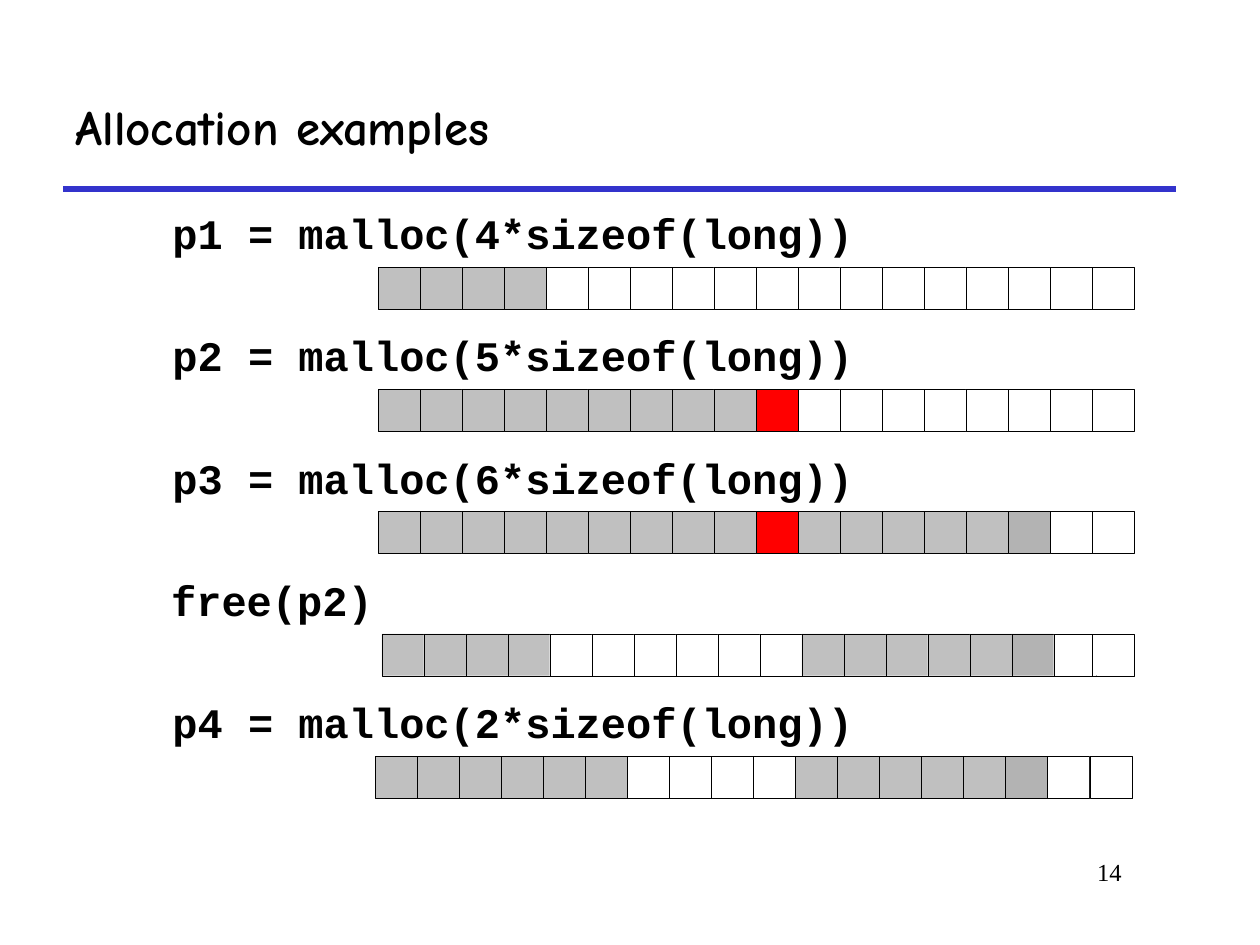
import pptx
import pptx.util
import pptx.dml.color
import pptx.enum.shapes
import pptx.enum.text
import pptx.oxml

Inches, Pt = pptx.util.Inches, pptx.util.Pt
RGBColor = pptx.dml.color.RGBColor
ALIGN = pptx.enum.text.PP_ALIGN
SHAPES = pptx.enum.shapes.MSO_SHAPE

BLACK = RGBColor(0x00, 0x00, 0x00)
BLUE = RGBColor(0x33, 0x33, 0xCC)
WORD_COLORS = {
    "a": RGBColor(0xC0, 0xC0, 0xC0),
    "d": RGBColor(0xB3, 0xB3, 0xB3),
    "p": RGBColor(0xFF, 0x00, 0x00),
    "f": RGBColor(0xFF, 0xFF, 0xFF),
}

CELL = 10 / 30
ROW_TOP, ROW_STEP = 2.12, 0.97
CALL_RISE = 0.52

STEPS = [
    ("p1 = malloc(4*sizeof(long))", 1.27, 5.6, 3, "aaaafffffffffffff", 8.67),
    ("p2 = malloc(5*sizeof(long))", 1.27, 5.6, 3, "aaaaaaaaapfffffff", 8.67),
    ("p3 = malloc(6*sizeof(long))", 1.27, 5.6, 3, "aaaaaaaaapaaaaadf", 8.67),
    ("free(p2)", 1.26, 1.8, 3.03, "aaaaffffff" "aaaaadf", 8.67),
    ("p4 = malloc(2*sizeof(long))", 1.27, 5.6, 2.98, "aaaaaaffff" "aaaaadf", 8.65),
]


def add_word(shapes, left, top, state):
    word = shapes.add_shape(SHAPES.RECTANGLE, Inches(left), Inches(top),
                            Inches(CELL), Inches(CELL))
    word.shadow.inherit = False
    word.fill.solid()
    word.fill.fore_color.rgb = WORD_COLORS[state]
    word.line.color.rgb = BLACK
    word.line.width = Pt(0.25)


def add_label(text, left, top, width, font_name, size, bold, align):
    label = slide.shapes.add_textbox(Inches(left), Inches(top), Inches(width), Inches(0.5))
    paragraph = label.text_frame.paragraphs[0]
    paragraph.text = text
    paragraph.alignment = align
    paragraph.font.name = font_name
    paragraph.font.size = Pt(size)
    paragraph.font.bold = bold
    paragraph.font.color.rgb = BLACK
    return label.text_frame


deck = pptx.Presentation()
deck.slide_width, deck.slide_height = Inches(10), Inches(7.5)
slide = deck.slides.add_slide(deck.slide_layouts[5])

heading = slide.shapes.title
heading.left, heading.top = Inches(0.5), Inches(0.5)
heading.width, heading.height = Inches(8.83), Inches(1)
heading.text_frame.text = "Allocation examples"
heading.text_frame.vertical_anchor = pptx.enum.text.MSO_ANCHOR.MIDDLE
heading_line = heading.text_frame.paragraphs[0]
heading_line.alignment = ALIGN.LEFT
heading_line.font.name = "Comic Neue"
heading_line.font.size = Pt(28)
heading_line.font.bold = True
heading_line.font.color.rgb = BLACK

rule = slide.shapes.add_connector(pptx.enum.shapes.MSO_CONNECTOR.STRAIGHT,
                                  Inches(0.5), Inches(1.5), Inches(9.33), Inches(1.5))
rule.line.color.rgb = BLUE
rule.line.width = Pt(3)
rule.element.spPr.append(pptx.oxml.parse_xml(
    '<a:effectLst xmlns:a="http://schemas.openxmlformats.org/drawingml/2006/main"/>'))

for row, (call, call_left, call_width, heap_left, states, last_left) in enumerate(STEPS):
    top = ROW_TOP + row * ROW_STEP
    call_frame = add_label(call, call_left, top - CALL_RISE, call_width,
                           "Courier New", 24, True, ALIGN.LEFT)
    call_frame.word_wrap = False
    call_frame.auto_size = pptx.enum.text.MSO_AUTO_SIZE.SHAPE_TO_FIT_TEXT
    heap = slide.shapes.add_group_shape()
    for column, state in enumerate(states):
        add_word(heap.shapes, heap_left + column * CELL, top, state)
    add_word(slide.shapes, last_left, top, "f")

page_frame = add_label("14", 7.58, 6.75, 1.42, "Times New Roman", 14, False, ALIGN.RIGHT)
page_frame.word_wrap = True

deck.save("out.pptx")
